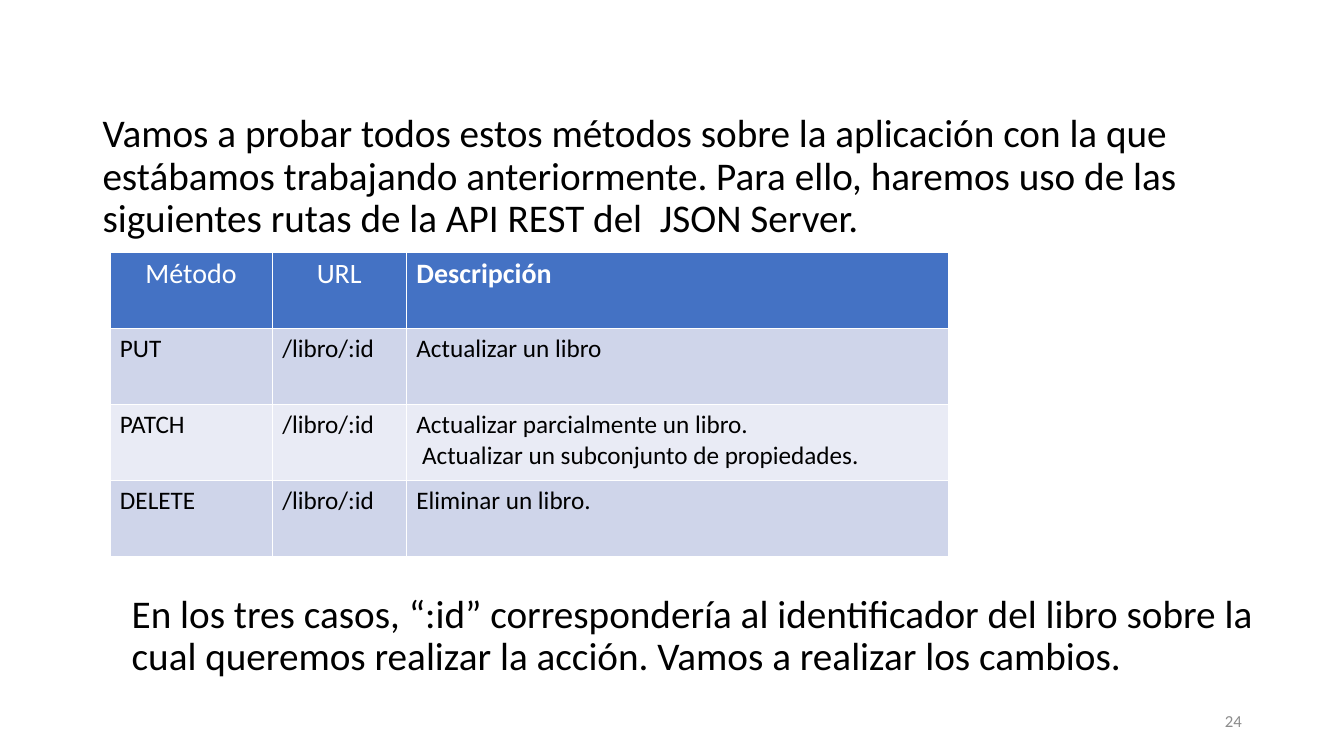
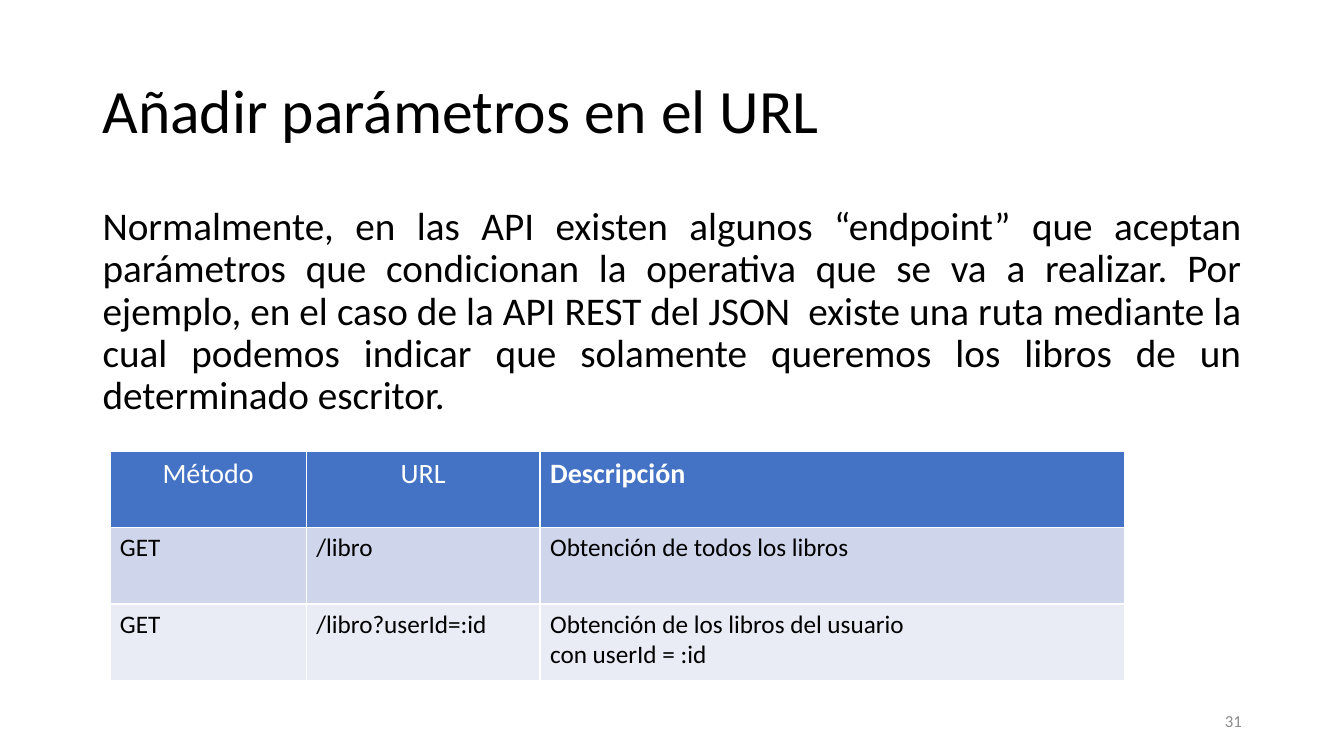
"""Build two slides on the methods and URL parameters of a REST API."""
from lxml import etree
from pptx import Presentation
from pptx.dml.color import RGBColor
from pptx.enum.text import MSO_ANCHOR, MSO_AUTO_SIZE, PP_ALIGN
from pptx.oxml.ns import qn
from pptx.util import Cm, Pt

LEFT, CENTER, RIGHT, JUSTIFY = PP_ALIGN.LEFT, PP_ALIGN.CENTER, PP_ALIGN.RIGHT, PP_ALIGN.JUSTIFY
MIDDLE = MSO_ANCHOR.MIDDLE
NO_AUTOFIT = MSO_AUTO_SIZE.NONE

BLACK = RGBColor(0x00, 0x00, 0x00)
WHITE = RGBColor(0xFF, 0xFF, 0xFF)
GRAY = RGBColor(0x8C, 0x8C, 0x8C)
BLUE = RGBColor(0x44, 0x72, 0xC4)
BANDS = [RGBColor(0xCF, 0xD5, 0xEA), RGBColor(0xE9, 0xEB, 0xF5)]

FONT = "Calibri"
MARGIN = Cm(2.33)
CONTENT_WIDTH = Cm(29.21)
TABLE_LEFT = Cm(2.77)
ROW_HEIGHT = Cm(1.92)
HEADER = ("Método", "URL", "Descripción")

SLIDES = [
    {
        "title": None,
        "intro": "Vamos a probar todos estos métodos sobre la aplicación con la que "
                 "estábamos trabajando anteriormente. Para ello, haremos uso de las "
                 "siguientes rutas de la API REST del  JSON Server.",
        "intro_top": Cm(2.74), "intro_height": Cm(14.53), "intro_align": LEFT,
        "table_top": Cm(6.35),
        "columns": [Cm(4.09), Cm(3.38), Cm(13.67)],
        "routes": [
            ("PUT", "/libro/:id", "Actualizar un libro"),
            ("PATCH", "/libro/:id", "Actualizar parcialmente un libro.\n"
                                    " Actualizar un subconjunto de propiedades."),
            ("DELETE", "/libro/:id", "Eliminar un libro."),
        ],
        "closing": "En los tres casos, “:id” correspondería al identificador del libro sobre la "
                   "cual queremos realizar la acción. Vamos a realizar los cambios.",
        "number": "24",
    },
    {
        "title": "Añadir parámetros en el URL",
        "intro": "Normalmente, en las API existen algunos “endpoint” que aceptan "
                 "parámetros que condicionan la operativa que se va a realizar. Por "
                 "ejemplo, en el caso de la API REST del JSON  existe una ruta mediante la "
                 "cual podemos indicar que solamente queremos los libros de un "
                 "determinado escritor.",
        "intro_top": Cm(5.08), "intro_height": Cm(12.09), "intro_align": JUSTIFY,
        "table_top": Cm(11.38),
        "columns": [Cm(4.95), Cm(5.89), Cm(14.73)],
        "routes": [
            ("GET", "/libro", "Obtención de todos los libros"),
            ("GET", "/libro?userId=:id", "Obtención de los libros del usuario\ncon userId = :id"),
        ],
        "closing": None,
        "number": "31",
    },
]


def write(frame, text, size, color=BLACK, align=LEFT, bold=False, spacing=1.0, before=0):
    """Write each line of the text as one formatted paragraph."""
    frame.word_wrap = True
    for index, line in enumerate(text.split("\n")):
        paragraph = frame.add_paragraph() if index else frame.paragraphs[0]
        paragraph.alignment = align
        paragraph.line_spacing = spacing
        paragraph.space_before = Pt(before)
        run = paragraph.add_run()
        run.text = line
        run.font.name = FONT
        run.font.size = Pt(size)
        run.font.bold = bold
        run.font.color.rgb = color


def place(shape, left, top, width, height):
    """Move and size a placeholder."""
    shape.left, shape.top, shape.width, shape.height = left, top, width, height


prs = Presentation()
prs.slide_width = Cm(33.87)
prs.slide_height = Cm(19.05)

for content in SLIDES:
    slide = prs.slides.add_slide(prs.slide_layouts[1])

    heading = slide.shapes.title
    if content["title"]:
        place(heading, MARGIN, Cm(1.02), CONTENT_WIDTH, Cm(3.68))
        heading.text_frame.vertical_anchor = MIDDLE
        write(heading.text_frame, content["title"], 44, spacing=0.9)
    else:
        heading.element.getparent().remove(heading.element)

    intro = slide.placeholders[1]
    place(intro, MARGIN, content["intro_top"], CONTENT_WIDTH, content["intro_height"])
    intro.text_frame.auto_size = NO_AUTOFIT
    write(intro.text_frame, content["intro"], 28, align=content["intro_align"],
          spacing=0.9, before=10)
    properties = intro.text_frame.paragraphs[0]._p.get_or_add_pPr()
    properties.set("marL", "0")
    properties.set("indent", "0")
    etree.SubElement(properties, qn("a:buNone"))

    rows = [HEADER] + content["routes"]
    columns = content["columns"]
    routes = slide.shapes.add_table(len(rows), len(columns), TABLE_LEFT, content["table_top"],
                                    sum(columns), ROW_HEIGHT * len(rows)).table
    for column, width in zip(routes.columns, columns):
        column.width = width
    for r, row in enumerate(rows):
        for c, text in enumerate(row):
            cell = routes.cell(r, c)
            cell.fill.solid()
            if r == 0:
                cell.fill.fore_color.rgb = BLUE
                is_description = c == 2
                write(cell.text_frame, text, 20, WHITE,
                      LEFT if is_description else CENTER, bold=is_description)
            else:
                cell.fill.fore_color.rgb = BANDS[(r - 1) % 2]
                write(cell.text_frame, text, 18)

    if content["closing"]:
        closing = slide.shapes.add_textbox(Cm(3.07), Cm(14.86), Cm(30.25), Cm(2.41))
        write(closing.text_frame, content["closing"], 28, spacing=0.9, before=10)

    number = slide.shapes.add_textbox(Cm(23.93), Cm(17.65), Cm(7.62), Cm(1.02))
    number.text_frame.vertical_anchor = MIDDLE
    write(number.text_frame, content["number"], 12, GRAY, RIGHT)

prs.save("out.pptx")
